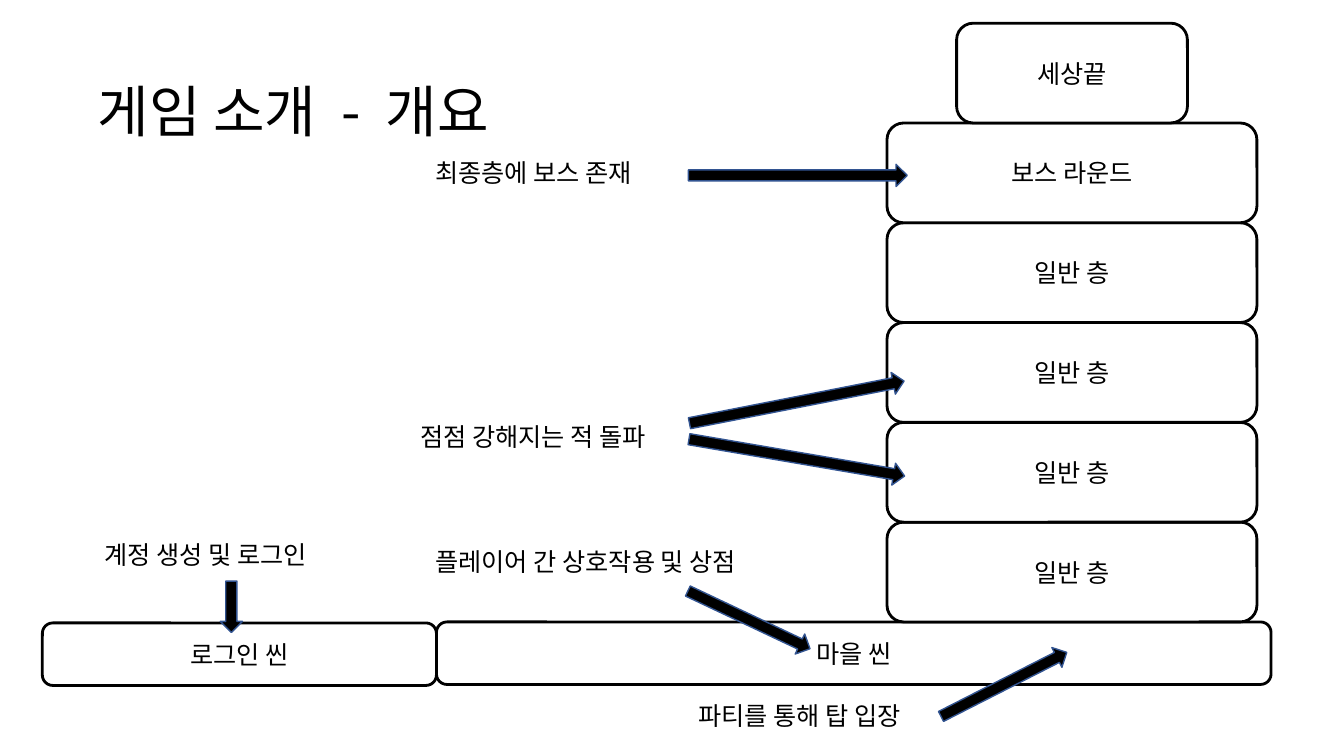
from dataclasses import dataclass

from lxml.etree import SubElement
from pptx import Presentation
from pptx.dml.color import RGBColor
from pptx.enum.shapes import MSO_SHAPE as Shape
from pptx.enum.text import MSO_ANCHOR as Anchor, MSO_AUTO_SIZE as AutoSize, PP_ALIGN as Align
from pptx.oxml.ns import qn
from pptx.util import Emu, Pt

PX = 9144


@dataclass(frozen=True)
class Theme:
    """Colours, font and type sizes of the slide."""
    ink: RGBColor = RGBColor(0x00, 0x00, 0x00)
    paper: RGBColor = RGBColor(0xFF, 0xFF, 0xFF)
    arrow_edge: RGBColor = RGBColor(0x32, 0x54, 0x91)
    font: str = "Noto Sans CJK KR"
    title_size: int = 40
    text_size: int = 18
    box_line: int = 2
    arrow_line: int = 1


class TowerSlide:
    """Draws styled elements on the current slide."""

    def __init__(self, presentation, theme):
        self.theme = theme
        self.slide = presentation.slides.add_slide(presentation.slide_layouts[5])

    def style_text(self, text_frame, size, align):
        """Format every run of a text frame."""
        for paragraph in text_frame.paragraphs:
            paragraph.alignment = align
            for run in paragraph.runs:
                run.font.size = Pt(size)
                run.font.name = self.theme.font
                run.font.color.rgb = self.theme.ink
                SubElement(run.font._element, qn("a:ea"), typeface=self.theme.font)

    def fit(self, text_frame, size):
        """Let an unwrapped, left-aligned frame grow with its text."""
        text_frame.word_wrap = False
        text_frame.auto_size = AutoSize.SHAPE_TO_FIT_TEXT
        text_frame.vertical_anchor = Anchor.TOP
        self.style_text(text_frame, size, Align.LEFT)

    def title(self, topic, dash, subtopic, left, top, width, height):
        """Fill the title placeholder, with wide gaps around the dash."""
        title = self.slide.shapes.title
        title.left, title.top = Emu(left * PX), Emu(top * PX)
        title.width, title.height = Emu(width * PX), Emu(height * PX)
        paragraph = title.text_frame.paragraphs[0]
        for part in (topic, dash, subtopic):
            run = paragraph.add_run()
            run.text = part
            if part == dash:
                run.font._element.set("spc", "900")
        self.fit(title.text_frame, self.theme.title_size)

    def label(self, text, left, top, width, height=40):
        """Add a one-line text box."""
        box = self.slide.shapes.add_textbox(*(Emu(n * PX) for n in (left, top, width, height)))
        box.text_frame.text = text
        self.fit(box.text_frame, self.theme.text_size)

    def preset(self, kind, bounds, fill, edge, line_width):
        """Add a preset shape with fill and outline."""
        shape = self.slide.shapes.add_shape(kind, *(Emu(n * PX) for n in bounds))
        shape.shadow.inherit = False
        shape.fill.solid()
        shape.fill.fore_color.rgb = fill
        shape.line.color.rgb = edge
        shape.line.width = Pt(line_width)
        return shape

    def room(self, text, left, top, width, height):
        """Add a rounded box with a centred caption."""
        theme = self.theme
        shape = self.preset(Shape.ROUNDED_RECTANGLE, (left, top, width, height),
                            theme.paper, theme.ink, theme.box_line)
        shape.text_frame.text = text
        shape.text_frame.word_wrap = True
        shape.text_frame.vertical_anchor = Anchor.MIDDLE
        self.style_text(shape.text_frame, theme.text_size, Align.CENTER)

    def arrow(self, left, top, width, rotation, height=22):
        """Add a block arrow turned by the given degrees."""
        theme = self.theme
        shape = self.preset(Shape.RIGHT_ARROW, (left, top, width, height),
                            theme.ink, theme.arrow_edge, theme.arrow_line)
        shape.rotation = rotation


def main():
    """Build the game overview slide."""
    presentation = Presentation()
    presentation.slide_width = Emu(12192000)
    presentation.slide_height = Emu(6858000)
    tower = TowerSlide(presentation, Theme())

    tower.title("게임 소개", " -", " 개요", 87, 71, 439, 77)

    tower.room("마을 씬", 433, 617, 828, 62)
    floor_height = 99
    floors = ["보스 라운드"] + ["일반 층"] * 4
    for level, name in reversed(list(enumerate(floors))):
        tower.room(name, 880, 122 + level * floor_height, 367, floor_height)
    tower.room("세상끝", 949, 23, 229, floor_height)
    tower.room("로그인 씬", 42, 618, 391, 62)

    for text, left, top, width in (
        ("최종층에 보스 존재", 422, 151, 240),
        ("점점 강해지는 적 돌파", 407, 413, 274),
        ("플레이어 간 상호작용 및 상점", 422, 537, 359),
        ("계정 생성 및 로그인", 94, 530, 249),
        ("파티를 통해 탑 입장", 683, 690, 249),
    ):
        tower.label(text, left, top, width)

    for left, top, width, rotation in (
        (683, 163, 217, 0),
        (682, 443, 217, 9.7),
        (682, 388, 217, 348.9),
        (676, 604, 134, 25.3),
        (926, 668, 140, 333),
        (204, 591, 51, 90),
    ):
        tower.arrow(left, top, width, rotation)

    presentation.save("out.pptx")


if __name__ == "__main__":
    main()
